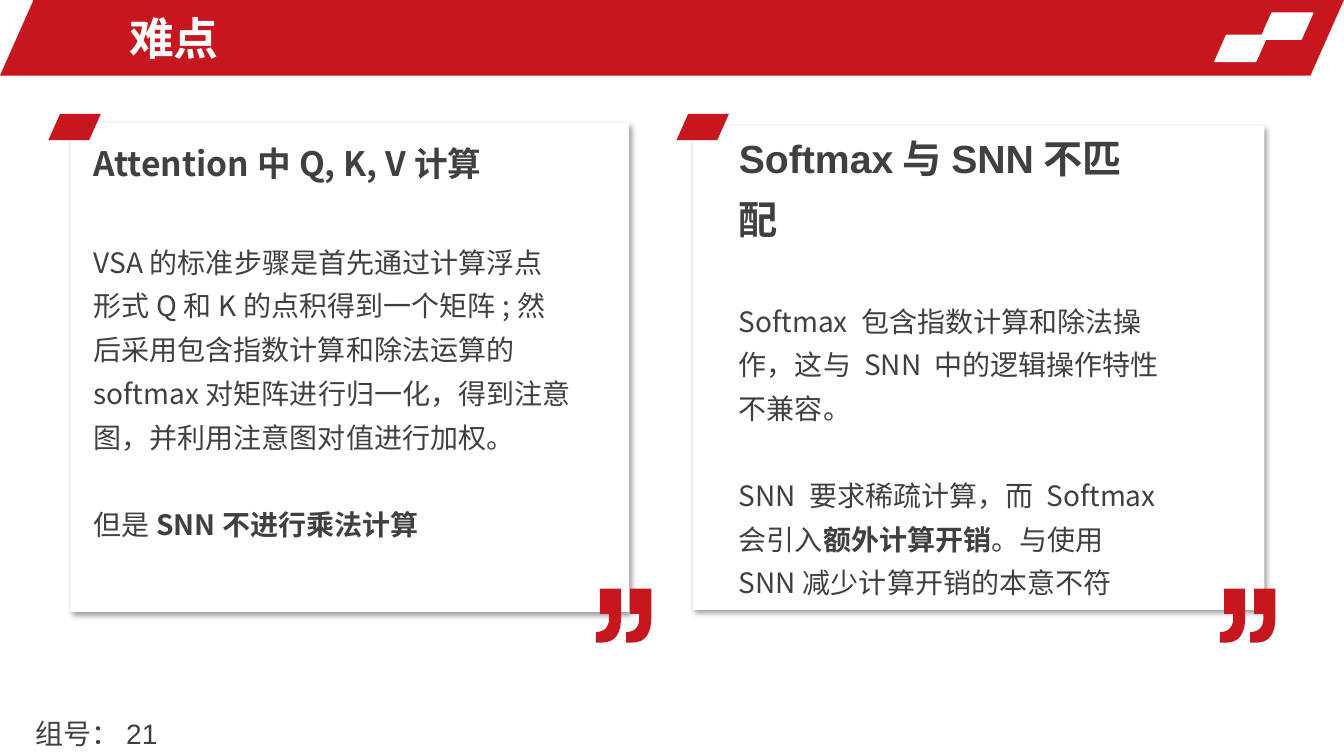
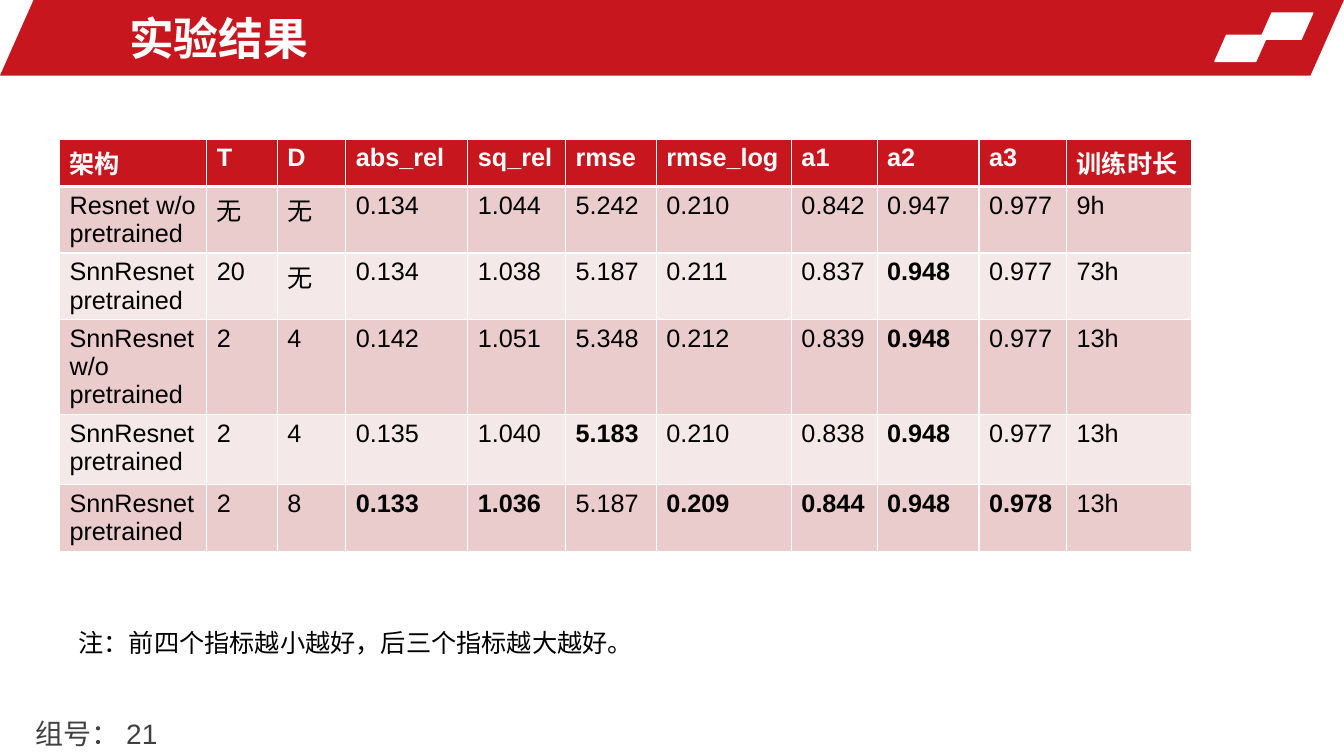
from lxml.etree import SubElement
from pptx import Presentation
from pptx.dml.color import RGBColor
from pptx.enum.shapes import MSO_SHAPE
from pptx.enum.text import MSO_ANCHOR, MSO_AUTO_SIZE, PP_ALIGN
from pptx.oxml.ns import qn
from pptx.util import Inches, Pt

RED = RGBColor(0xC8, 0x16, 0x1E)
WHITE = RGBColor(0xFF, 0xFF, 0xFF)
BLACK = RGBColor(0x00, 0x00, 0x00)
GRAY = RGBColor(0x40, 0x40, 0x40)
ROW_FILLS = (RGBColor(0xEB, 0xCC, 0xCD), RGBColor(0xF5, 0xE8, 0xE8))
LATIN = "Arial"
CJK = "Noto Sans CJK SC"

SLANT = 0.444
CARD_SPACING = 1.3
QUOTE_SHIFT = 300  # thousandths of an inch between the two marks

HEADERS = ["架构", "T", "D", "abs_rel", "sq_rel", "rmse", "rmse_log",
           "a1", "a2", "a3", "训练时长"]
RESULTS = [
    ["Resnet w/o pretrained", "无", "无", "0.134", "1.044", "5.242", "0.210",
     "0.842", "0.947", "0.977", "9h"],
    ["SnnResnet\npretrained", "20", "无", "0.134", "1.038", "5.187", "0.211",
     "0.837", "0.948", "0.977", "73h"],
    ["SnnResnet\nw/o pretrained", "2", "4", "0.142", "1.051", "5.348", "0.212",
     "0.839", "0.948", "0.977", "13h"],
    ["SnnResnet\npretrained", "2", "4", "0.135", "1.040", "5.183", "0.210",
     "0.838", "0.948", "0.977", "13h"],
    ["SnnResnet\npretrained", "2", "8", "0.133", "1.036", "5.187", "0.209",
     "0.844", "0.948", "0.978", "13h"],
]
COLUMN_WIDTHS = [1.46, 0.7, 0.68, 1.21, 0.97, 0.9, 1.34, 0.85, 1.01, 0.87, 1.24]
ROW_HEIGHTS = [0.47, 0.47, 0.47, 0.47, 0.7, 0.47]
BEST_RULES = {"abs_rel": min, "sq_rel": min, "rmse": min, "rmse_log": min,
              "a1": max, "a2": max, "a3": max}


def write(frame, text, size=18, font=LATIN, color=GRAY, bold=False,
          spacing=1.0, before=0):
    """Add one paragraph per line; parts between ** marks are bold."""
    for line in text.split("\n"):
        paragraph = frame.paragraphs[0]
        if paragraph.runs:
            paragraph = frame.add_paragraph()
        properties = paragraph._p.get_or_add_pPr()
        properties.set("marL", "0")
        properties.set("indent", "0")
        SubElement(properties, qn("a:buNone"))
        paragraph.alignment = PP_ALIGN.LEFT
        paragraph.line_spacing = spacing
        paragraph.space_before = Pt(before)
        for index, part in enumerate(line.split("**")):
            if not part:
                continue
            span = paragraph.add_run()
            span.text = part
            span.font.size = Pt(size)
            span.font.bold = bold or index % 2 == 1
            span.font.color.rgb = color
            span.font.name = font
            SubElement(span._r.get_or_add_rPr(), qn("a:ea"), typeface=CJK)


def curve(start, first, second, end, steps=8):
    """Return points along a cubic curve, without its start."""
    points = []
    for step in range(1, steps + 1):
        t = step / steps
        weights = ((1 - t) ** 3, 3 * t * (1 - t) ** 2, 3 * t * t * (1 - t), t ** 3)
        corners = (start, first, second, end)
        points.append(tuple(sum(weight * corner[axis]
                                for weight, corner in zip(weights, corners))
                            for axis in (0, 1)))
    return points


def quote_outline():
    """Return one closing quote mark in thousandths of an inch."""
    return ([(40, 0), (250, 0), (250, 280)]
            + curve((250, 280), (250, 450), (190, 535), (60, 535))
            + [(0, 535), (0, 430)]
            + curve((0, 430), (85, 430), (130, 380), (130, 300))
            + [(130, 250), (40, 250)])


def set_cell_borders(cell, bottom):
    properties = cell._tc.get_or_add_tcPr()
    for side, width in (("L", 1), ("R", 1), ("T", 1), ("B", bottom)):
        line = SubElement(properties, qn("a:ln" + side), w=str(Pt(width)))
        fill = SubElement(line, qn("a:solidFill"))
        SubElement(fill, qn("a:srgbClr"), val=str(WHITE))


class Slides:
    def __init__(self):
        self.deck = Presentation()
        self.deck.slide_width = Inches(13.33)
        self.deck.slide_height = Inches(7.5)
        self.layout = self.deck.slide_layouts[1]
        self.page = None

    def add_page(self, title):
        self.page = self.deck.slides.add_slide(self.layout)
        if len(self.deck.slides) == 1:
            self.add_band_to_layout()
        heading, group = self.page.placeholders
        self.fill_placeholder(heading, (1.18, 0.05, 7.74, 0.65), title,
                              size=32, color=WHITE, bold=True)
        self.fill_placeholder(group, (0.35, 7.04, 4.54, 0.46), "组号：21",
                              margin=0, size=20)

    def add_band_to_layout(self):
        """Draw the band once, then hand its shapes to the shared layout."""
        band = [self.add_slanted(0, 0, 13.33, 0.75)]
        for left, top in ((12.5, 0.13), (12.05, 0.35)):
            tile = self.add_slanted(left, top, color=WHITE)
            tile.line.color.rgb = WHITE
            tile.line.width = Pt(1)
            band.append(tile)
        for index, shape in enumerate(band):
            shape.element.nvSpPr.cNvPr.set("id", str(100 + index))
            self.layout.shapes.element.insert(2 + index, shape.element)

    def fill_placeholder(self, box, place, text, margin=None, **style):
        box.left, box.top, box.width, box.height = map(Inches, place)
        frame = box.text_frame
        frame.word_wrap = True
        frame.auto_size = MSO_AUTO_SIZE.NONE
        frame.vertical_anchor = MSO_ANCHOR.MIDDLE
        if margin is not None:
            frame.margin_left = frame.margin_right = Inches(margin)
            frame.margin_top = frame.margin_bottom = Inches(margin)
        write(frame, text, **style)

    def add_shape(self, kind, left, top, width, height, color, adjustment):
        shape = self.page.shapes.add_shape(
            kind, Inches(left), Inches(top), Inches(width), Inches(height))
        shape.adjustments[0] = adjustment
        shape.shadow.inherit = False
        shape.fill.solid()
        shape.fill.fore_color.rgb = color
        shape.line.fill.background()
        return shape

    def add_slanted(self, left, top, width=0.52, height=0.26, color=RED):
        return self.add_shape(MSO_SHAPE.PARALLELOGRAM, left, top, width, height,
                              color, SLANT)

    def add_card(self, left, top, width, height):
        card = self.add_shape(MSO_SHAPE.ROUNDED_RECTANGLE, left, top, width,
                              height, WHITE, 0)
        effects = card.element.spPr.find(qn("a:effectLst"))
        shadow = SubElement(effects, qn("a:outerShdw"), blurRad=str(Pt(4)),
                            dist=str(Pt(3)), dir="2700000", algn="tl",
                            rotWithShape="0")
        color = SubElement(shadow, qn("a:srgbClr"), val=str(BLACK))
        SubElement(color, qn("a:alpha"), val="40000")

    def add_quote(self, left, top):
        outline = quote_outline()
        shifted = [(x + QUOTE_SHIFT, y) for x, y in outline]
        builder = self.page.shapes.build_freeform(*outline[0],
                                                  scale=Inches(1) / 1000)
        builder.add_line_segments(outline[1:], close=True)
        builder.move_to(*shifted[0])
        builder.add_line_segments(shifted[1:], close=True)
        quote = builder.convert_to_shape(Inches(left), Inches(top))
        quote.shadow.inherit = False
        quote.fill.solid()
        quote.fill.fore_color.rgb = RED
        quote.line.fill.background()

    def add_text(self, left, top, width, height):
        box = self.page.shapes.add_textbox(
            Inches(left), Inches(top), Inches(width), Inches(height))
        frame = box.text_frame
        frame.word_wrap = True
        frame.auto_size = MSO_AUTO_SIZE.SHAPE_TO_FIT_TEXT
        return frame

    def add_card_text(self, place, heading, paragraphs, **heading_style):
        frame = self.add_text(*place)
        write(frame, heading, bold=True, spacing=CARD_SPACING, **heading_style)
        for paragraph, before in zip(paragraphs, (37, 31)):
            write(frame, paragraph, size=20, font=CJK, spacing=CARD_SPACING,
                  before=before)

    def add_results(self, left, top):
        table = self.page.shapes.add_table(
            len(ROW_HEIGHTS), len(HEADERS), Inches(left), Inches(top),
            Inches(sum(COLUMN_WIDTHS)), Inches(sum(ROW_HEIGHTS))).table
        table.horz_banding = False
        for column, width in zip(table.columns, COLUMN_WIDTHS):
            column.width = Inches(width)
        for row, height in zip(table.rows, ROW_HEIGHTS):
            row.height = Inches(height)
        best = {name: rule((row[HEADERS.index(name)] for row in RESULTS), key=float)
                for name, rule in BEST_RULES.items()}
        for row_index, values in enumerate([HEADERS] + RESULTS):
            is_header = row_index == 0
            for column_index, (name, value) in enumerate(zip(HEADERS, values)):
                cell = table.cell(row_index, column_index)
                set_cell_borders(cell, bottom=3 if is_header else 1)
                cell.fill.solid()
                cell.fill.fore_color.rgb = (
                    RED if is_header else ROW_FILLS[(row_index - 1) % 2])
                write(cell.text_frame, value,
                      color=WHITE if is_header else BLACK,
                      bold=is_header or best.get(name) == value)


def add_difficulties(slides):
    slides.add_page("难点")
    slides.add_card(6.87, 1.25, 5.67, 4.8)
    slides.add_card(0.7, 1.22, 5.54, 4.85)
    for left in (0.48, 6.71):
        slides.add_slanted(left, 1.13)
    slides.add_card_text(
        (0.83, 1.25, 4.93, 4.21), "Attention中Q, K, V计算",
        ["VSA的标准步骤是首先通过计算浮点形式Q和K的点积得到一个矩阵;"
         "然后采用包含指数计算和除法运算的softmax对矩阵进行归一化，"
         "得到注意图，并利用注意图对值进行加权。",
         "但是**SNN不进行乘法计算**"],
        size=24, font=CJK)
    slides.add_card_text(
        (7.23, 1.14, 4.38, 4.3), "Softmax与SNN不匹配",
        ["Softmax 包含指数计算和除法操作，这与 SNN 中的逻辑操作特性不兼容。",
         "SNN 要求稀疏计算，而 Softmax 会引入**额外计算开销**。"
         "与使用SNN减少计算开销的本意不符"],
        size=28)
    for left in (5.91, 12.1):
        slides.add_quote(left, 5.84)


def add_experiment(slides):
    slides.add_page("实验结果")
    slides.add_results(0.59, 1.38)
    note = slides.add_text(0.68, 6.17, 9.65, 0.4)
    write(note, "注：前四个指标越小越好，后三个指标越大越好。", color=BLACK)


def main():
    slides = Slides()
    add_difficulties(slides)
    add_experiment(slides)
    slides.deck.save("out.pptx")


if __name__ == "__main__":
    main()
